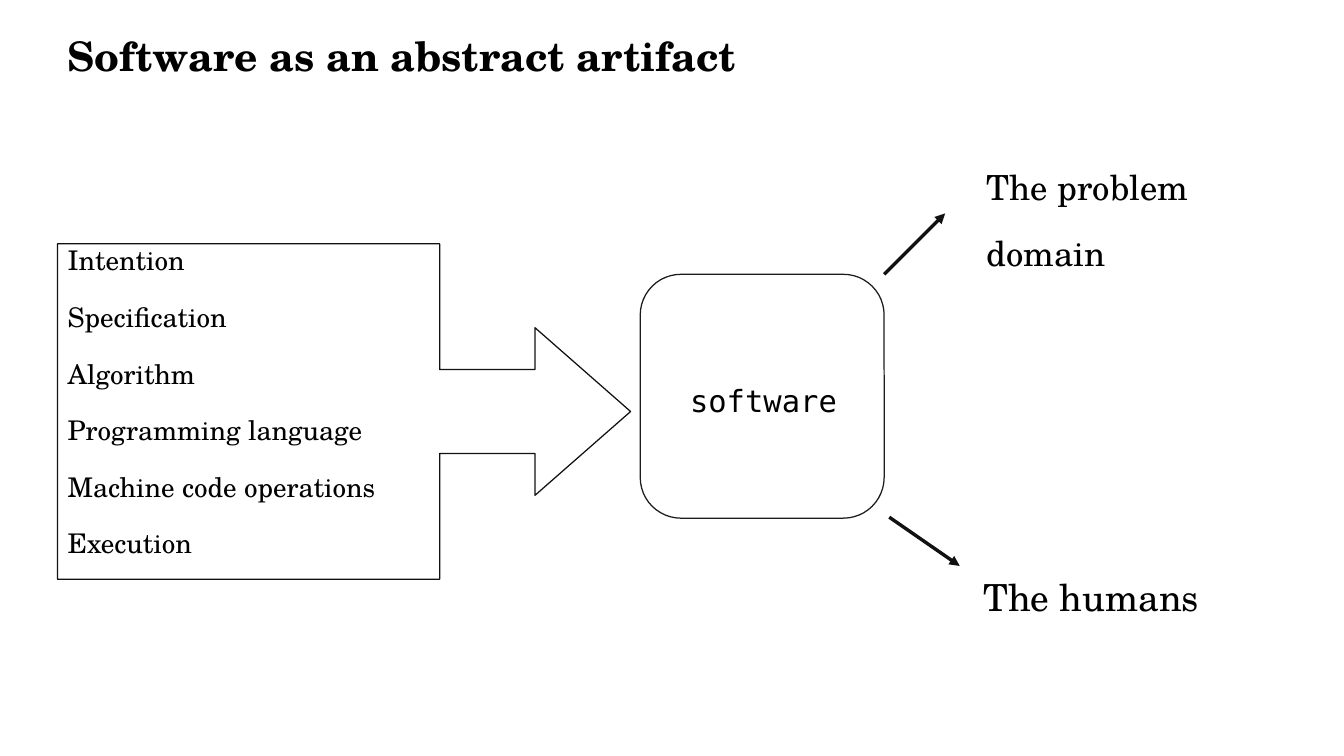
from lxml import etree
from pptx import Presentation
from pptx.dml.color import RGBColor
from pptx.enum import shapes, text
from pptx.oxml import ns
from pptx.util import Pt

SERIF = "TeX Gyre Schola"
MONO = "DejaVu Sans Mono"
BLACK, INK, OUTLINE, WHITE = "000000", "111111", "1C1C1C", "FFFFFF"
LEVELS = ["Intention", "Specification", "Algorithm", "Programming language",
          "Machine code operations", "Execution"]


def color(hex_code):
    return RGBColor.from_string(hex_code)


def add_text(slide, box, lines, size, font=SERIF, bold=False, space=0,
             align=text.PP_ALIGN.LEFT):
    area = slide.shapes.add_textbox(*map(Pt, box))
    frame = area.text_frame
    frame.word_wrap = True
    frame.margin_left = frame.margin_right = 0
    frame.margin_top = frame.margin_bottom = 0
    frame.text = "\n".join(lines)
    for paragraph in frame.paragraphs:
        paragraph.alignment = align
        paragraph.space_before = Pt(space)
        paragraph.font.name = font
        paragraph.font.size = Pt(size)
        paragraph.font.bold = bold
        paragraph.font.color.rgb = color(BLACK)


def add_outlined(slide, kind, box, line_color, adjustments):
    outlined = slide.shapes.add_shape(kind, *map(Pt, box))
    outlined.shadow.inherit = False
    outlined.fill.solid()
    outlined.fill.fore_color.rgb = color(WHITE)
    outlined.line.color.rgb = color(line_color)
    outlined.line.width = Pt(0)
    for index, value in enumerate(adjustments):
        outlined.adjustments[index] = value


def add_arrow(slide, start, end):
    arrow = slide.shapes.add_connector(
        shapes.MSO_CONNECTOR.STRAIGHT, *map(Pt, start + end))
    arrow.line.color.rgb = color(INK)
    arrow.line.width = Pt(0)
    etree.SubElement(arrow.line._get_or_add_ln(), ns.qn("a:tailEnd"), type="triangle")
    etree.SubElement(arrow._element.spPr, ns.qn("a:effectLst"))


def add_levels(slide, box):
    left, top, width, height = box
    add_outlined(slide, shapes.MSO_SHAPE.RIGHT_ARROW_CALLOUT, box, INK,
                 [0.25, 0.25, 0.285, 0.667])
    add_text(slide, (left + 6, top, width, height + 3.6), LEVELS, 16, space=14.2)


def add_software(slide, box):
    left, top, width, height = box
    add_outlined(slide, shapes.MSO_SHAPE.ROUNDED_RECTANGLE, box, OUTLINE, [0.167])
    add_text(slide, (left, top + 63.4, width + 1.4, 22), ["software"], 18,
             font=MONO, align=text.PP_ALIGN.CENTER)


def add_relations(slide, box):
    left, top, width, height = box
    add_arrow(slide, (left, top + 64), (left + 36, top + 28))
    add_arrow(slide, (left + 3, top + 207.4), (left + 44.6, top + 236.2))
    add_text(slide, (left + 60.5, top, 130.3, 64), ["The problem", "domain"],
             20.4, space=14.2)
    add_text(slide, (left + 45.4, top + 241.2, 140.4, 43.2), ["The humans"],
             22, space=14.2, align=text.PP_ALIGN.RIGHT)


def build():
    deck = Presentation()
    deck.slide_width, deck.slide_height = Pt(793.44), Pt(446.4)
    slide = deck.slides.add_slide(deck.slide_layouts[6])
    add_text(slide, (39.6, 18, 714.2, 74.9), ["Software as an abstract artifact"],
             24, bold=True)
    add_levels(slide, (33.9, 144, 338.4, 198))
    add_software(slide, (378, 162, 144, 144))
    add_relations(slide, (522, 98, 191, 285))
    deck.save("out.pptx")


build()
